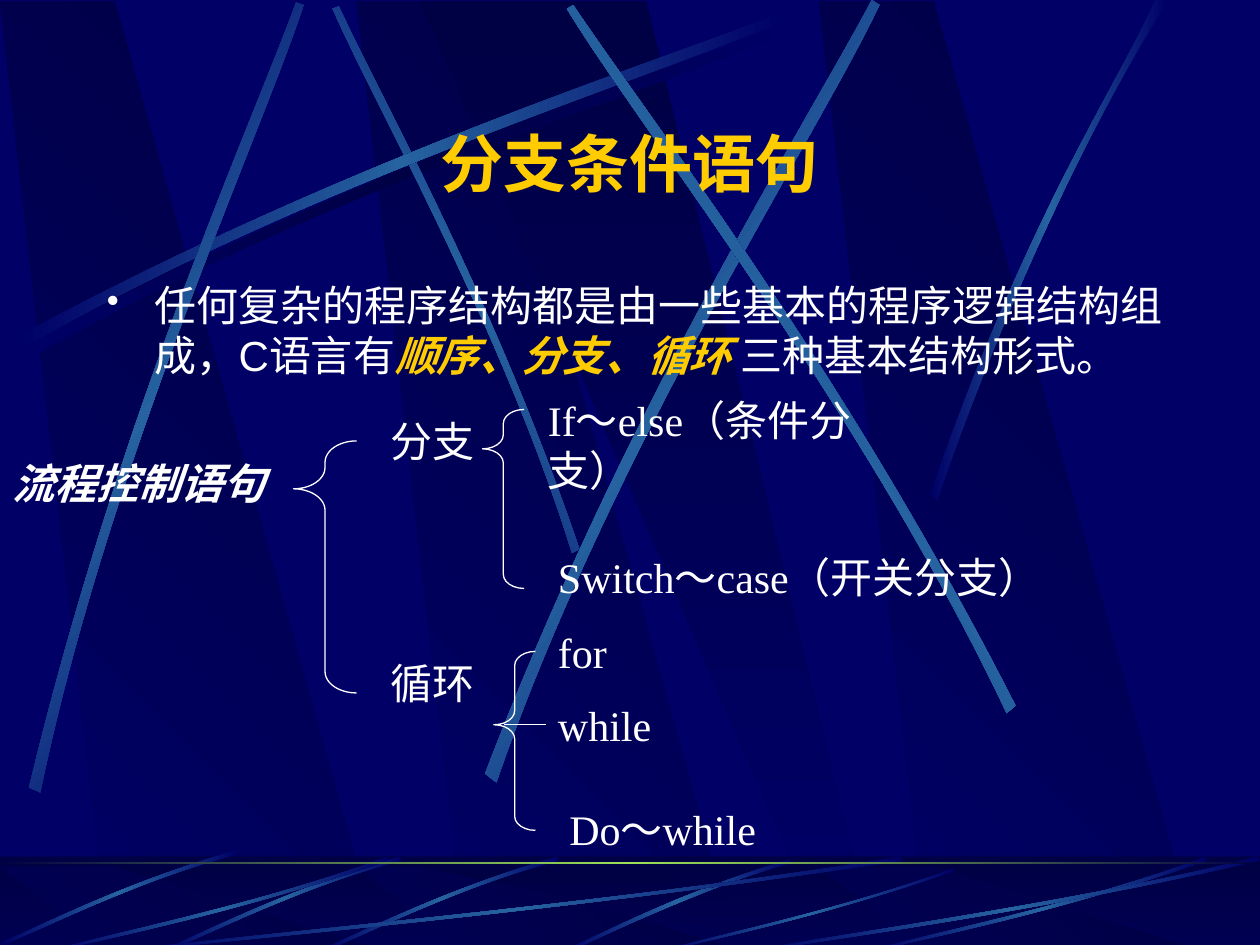
from dataclasses import dataclass

from lxml import etree
from pptx import Presentation
from pptx.dml.color import RGBColor
from pptx.enum import shapes, text
from pptx.oxml import ns
from pptx.util import Inches, Pt


@dataclass(frozen=True)
class Theme:
    navy: str = "000066"
    deep: str = "000044"
    beam: str = "2663A0"
    glow: str = "9CE157"
    gold: str = "FFCC00"
    white: str = "FFFFFF"
    title_font: str = "Montserrat"
    body_font: str = "Arial"
    label_font: str = "Times New Roman"
    title_size: int = 36
    text_size: int = 24
    hairline: float = 0.75


T = Theme()
TITLE = "分支条件语句"
BODY = [
    ("任何复杂的程序结构都是由一些基本的程序逻辑结构组成，C语言有", False),
    ("顺序、分支、循环 ", True),
    ("三种基本结构形式。", False),
]
LABELS = [
    ("流程控制语句", (0, 3.58, 2.42, 0.5), True),
    ("分支", (3, 3.25, 1, 0.5), False),
    ("循环", (3, 5.17, 1.08, 0.5), False),
    ("If～else（条件分支）", (4.25, 3.08, 3.25, 0.9), False),
    ("Switch～case（开关分支）", (4.33, 4.33, 4.42, 0.5), False),
    ("for", (4.33, 4.92, 0.75, 0.5), False),
    ("while", (4.33, 5.5, 1.25, 0.5), False),
    ("Do～while", (4.42, 6.33, 2.17, 0.5), False),
]
BRACES = [
    ((2.33, 3.5, 0.5, 2), 0.19),
    ((3.83, 3.25, 0.33, 1.42), 0.22),
    ((3.92, 5.17, 0.33, 1.42), 0.41),
]

PANEL_LEFTS = (2.83, 0, 6.5)
PANEL = [(0.86, 1), (3.02, 1), (0.91, 0), (0, 0)]
WEDGE = [(3.33, 0), (6.58, 1), (6.94, 1), (5.13, 0)]

LONG_ARC = [(0.14, 2.67), (2.78, 1.25), (5.18, 0.51), (6.2, 0.1),
            (6.23, 0.16), (5.22, 0.61), (2.48, 1.43), (0.17, 2.77)]
BEAMS = [
    (LONG_ARC, 0, T.deep, [(0.06, 0.08)]),
    ([(4.6, 4.36), (3.91, 2.34), (3.02, 0.77), (2.69, 0.05),
      (2.64, 0.07), (2.95, 0.79), (3.98, 2.58), (4.54, 4.39)], 45, T.beam, [(0, 0)]),
    (LONG_ARC, 0, T.beam, [(0, 0)]),
    ([(0.23, 6.25), (0.93, 3.34), (1.97, 1.05), (2.35, 0.02),
      (2.41, 0.04), (2.07, 1.08), (0.86, 3.68), (0.32, 6.29)], 311.7, T.beam, [(0, 0)]),
    ([(3.85, 6.14), (4.98, 3.2), (6.38, 1.02), (6.92, 0),
      (6.98, 0.04), (6.49, 1.08), (4.86, 3.55), (3.94, 6.21)], 321.6, T.beam, [(0, 0)]),
    ([(8.06, 5.6), (6.7, 2.93), (5.16, 0.95), (4.55, 0.04),
      (4.5, 0.07), (5.07, 1.01), (6.85, 3.25), (7.99, 5.66)], 34.8, T.beam, [(0, 0)]),
    ([(7.38, 3.93), (8.14, 1.73), (8.88, 0.66), (9.17, 0),
      (9.27, 0), (8.36, 1.45), (7.69, 3.22), (7.44, 3.97)], 0, T.beam, [(0, 0)]),
]
FLOOR_BEAMS = [
    ([(6.27, 6.82), (5.37, 7.09), (4.77, 7.42), (4.48, 7.54),
      (4.53, 7.55), (4.9, 7.37), (5.71, 7), (6.28, 6.85)], 0, T.beam, [(0, 0)]),
    ([(4.42, 6.8), (3.55, 7.05), (2.87, 7.4), (2.56, 7.53),
      (2.57, 7.55), (2.88, 7.43), (3.65, 7.03), (4.44, 6.83)], 0, T.beam,
     [(0, 0), (-1.25, 0), (-2.55, -0.05)]),
    ([(7.17, 6.83), (4.49, 7.23), (2.06, 7.44), (1.03, 7.55),
      (1, 7.54), (2.02, 7.41), (4.8, 7.18), (7.14, 6.8)], 0, T.beam, [(0, 0)]),
    ([(3.08, 6.83), (1.93, 7.23), (0.88, 7.44), (0.43, 7.55),
      (0.42, 7.54), (0.86, 7.41), (2.06, 7.18), (3.07, 6.8)], 0, T.beam,
     [(0, 0), (6.5, 0)]),
    ([(7.58, 6.91), (6.58, 7.26), (5.67, 7.45), (5.28, 7.55),
      (5.27, 7.54), (5.65, 7.43), (6.69, 7.22), (7.57, 6.89)], 0, T.beam, [(0, 0)]),
    ([(10, 6.83), (8.27, 7.23), (6.69, 7.44), (6.02, 7.55),
      (6, 7.54), (6.66, 7.41), (8.46, 7.18), (9.98, 6.8)], 0, T.beam, [(0, 0)]),
]


def rgb(color):
    return RGBColor.from_string(color)


def sub(parent, tag, **attrs):
    return etree.SubElement(parent, ns.qn(tag), attrs)


def gradient(sp, colors, angle):
    sp.shadow.inherit = False
    sp.line.fill.background()
    sp.fill.gradient()
    sp.fill.gradient_angle = angle
    stops = sp._element.spPr.find(".//" + ns.qn("a:gsLst"))
    for stop in list(stops):
        stops.remove(stop)
    for i, color in enumerate(colors):
        gs = sub(stops, "a:gs", pos=str(100000 * i // (len(colors) - 1)))
        sub(gs, "a:srgbClr", val=color)


def polygon(s, points):
    emu = [(Inches(x), Inches(y)) for x, y in points]
    builder = s.shapes.build_freeform(*emu[0], scale=1.0)
    builder.add_line_segments(emu[1:], close=False)
    builder._add_close()
    return builder.convert_to_shape()


def bend_sides(sp):
    segments = sp._element.spPr.findall(".//" + ns.qn("a:lnTo"))
    for side in (segments[:3], segments[4:7]):
        bend = etree.Element(ns.qn("a:cubicBezTo"))
        side[0].addprevious(bend)
        for segment in side:
            bend.append(segment[0])
            segment.getparent().remove(segment)


def add_beams(s, beams):
    for points, angle, color, shifts in beams:
        for dx, dy in shifts:
            sp = polygon(s, [(x + dx, y + dy) for x, y in points])
            bend_sides(sp)
            gradient(sp, (T.navy, color, T.navy), angle)


def add_panels(s, top, height):
    for left in PANEL_LEFTS:
        sp = polygon(s, [(left + x, top + y * height) for x, y in PANEL])
        gradient(sp, (T.navy, T.deep), 45)
    sp = polygon(s, [(x, top + y * height) for x, y in WEDGE])
    gradient(sp, (T.deep, T.navy), 270)


def add_shape(s, kind, box):
    sp = s.shapes.add_shape(kind, *map(Inches, box))
    sp.shadow.inherit = False
    return sp


def add_text(s, box, runs, font, size, before=0, grow=True):
    tf = s.shapes.add_textbox(*map(Inches, box)).text_frame
    tf.word_wrap = True
    if grow:
        tf.auto_size = text.MSO_AUTO_SIZE.SHAPE_TO_FIT_TEXT
    p = tf.paragraphs[0]
    p.space_before = Pt(before)
    p._p.get_or_add_pPr().set("hangingPunct", "0")
    for words, color, bold, italic in runs:
        r = p.add_run()
        r.text = words
        r.font.name, r.font.size = font, Pt(size)
        r.font.bold, r.font.italic = bold, italic
        r.font.color.rgb = rgb(color)
    return tf


def add_bullet(p):
    pPr = p._p.get_or_add_pPr()
    pPr.set("marL", str(Inches(0.38)))
    pPr.set("indent", str(Inches(-0.38)))
    sub(sub(pPr, "a:buClr"), "a:srgbClr", val=T.white)
    sub(pPr, "a:buSzPct", val="85000")
    sub(pPr, "a:buChar", char="•")


def add_backdrop(s):
    s.background.fill.solid()
    s.background.fill.fore_color.rgb = rgb(T.navy)
    rect = shapes.MSO_SHAPE.RECTANGLE
    add_panels(s, 0.01, 7.51)
    add_beams(s, BEAMS)
    gradient(add_shape(s, rect, (0, 6.8, 10, 0.75)), (T.deep, T.navy), 270)
    add_panels(s, 6.88, 0.66)
    veil = add_shape(s, rect, (0, 6.79, 10, 0.75))
    veil.line.fill.background()
    veil.fill.solid()
    veil.fill.fore_color.rgb = rgb(T.deep)
    sub(veil._element.spPr.find(".//" + ns.qn("a:srgbClr")), "a:alpha", val="50000")
    add_beams(s, FLOOR_BEAMS)
    gradient(add_shape(s, rect, (0, 6.84, 10, 0.02)), (T.deep, T.glow, T.deep), 0)


def add_content(s):
    tf = add_text(s, (0.75, 0.94, 8.5, 0.7), [(TITLE, T.gold, True, False)],
                  T.title_font, T.title_size)
    tf.vertical_anchor = text.MSO_ANCHOR.MIDDLE
    tf.paragraphs[0].alignment = text.PP_ALIGN.CENTER
    runs = [(words, T.gold if key else T.white, key, key) for words, key in BODY]
    tf = add_text(s, (0.75, 2.17, 9, 1), runs, T.body_font, T.text_size, 6, False)
    add_bullet(tf.paragraphs[0])
    for box, point in BRACES:
        sp = add_shape(s, shapes.MSO_SHAPE.LEFT_BRACE, box)
        sp.adjustments[0], sp.adjustments[1] = 0.34, point
        sp.fill.background()
        sp.line.color.rgb, sp.line.width = rgb(T.white), Pt(T.hairline)
    line = s.shapes.add_connector(shapes.MSO_CONNECTOR.STRAIGHT,
                                  *map(Inches, (4, 5.75, 4.33, 5.75)))
    line.line.color.rgb, line.line.width = rgb(T.white), Pt(T.hairline)
    sub(line._element.spPr, "a:effectLst")
    for words, box, strong in LABELS:
        add_text(s, box, [(words, T.white, strong, strong)], T.label_font, T.text_size, 15)


prs = Presentation()
prs.slide_width, prs.slide_height = Inches(10), Inches(7.5)
s = prs.slides.add_slide(prs.slide_layouts[6])
add_backdrop(s)
add_content(s)
prs.save("out.pptx")
